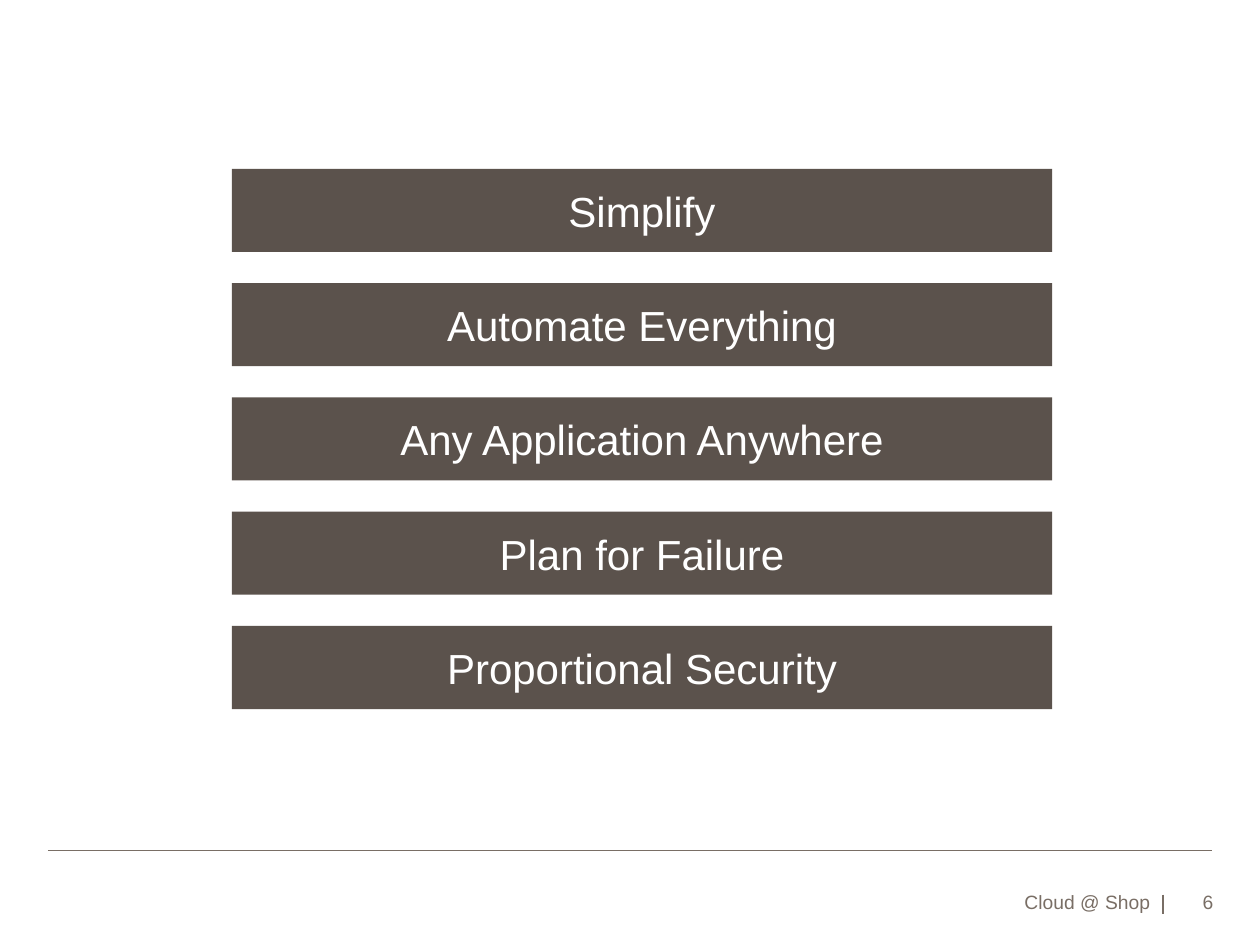
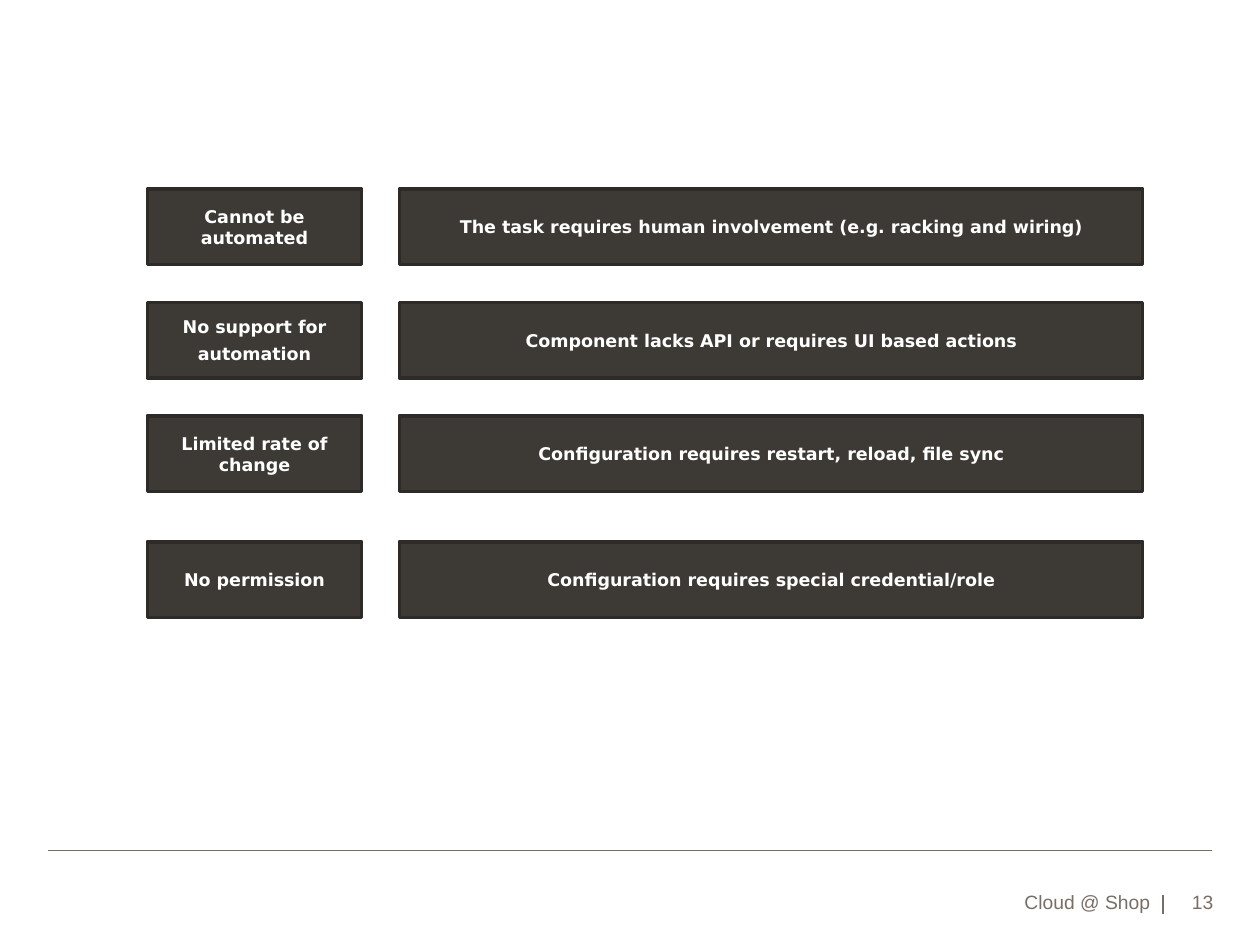
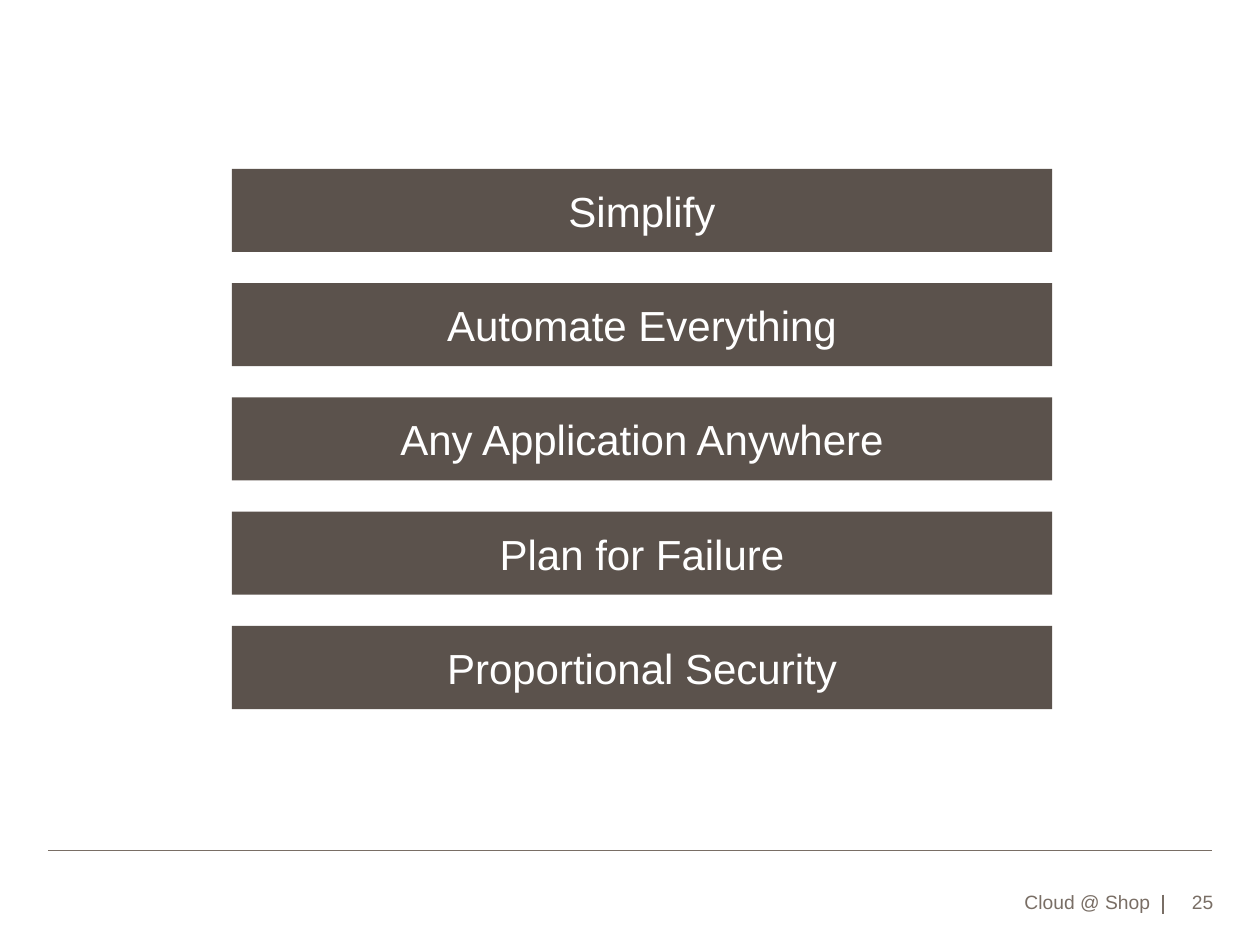
from pptx import Presentation
from pptx.dml.color import RGBColor
from pptx.enum.shapes import MSO_CONNECTOR, MSO_SHAPE
from pptx.enum.text import MSO_ANCHOR, PP_ALIGN
from pptx.oxml.ns import qn
from pptx.util import Inches, Pt

RECT, STRAIGHT = MSO_SHAPE.RECTANGLE, MSO_CONNECTOR.STRAIGHT
MIDDLE, BOTTOM = MSO_ANCHOR.MIDDLE, MSO_ANCHOR.BOTTOM
CENTER, RIGHT = PP_ALIGN.CENTER, PP_ALIGN.RIGHT

# Shared colours and text formats
GREY, BROWN, DARK, EDGE, WHITE = "796E65", "5B524C", "3D3935", "2D2A27", "FFFFFF"
FOOTER_FONT = {"name": "Arial", "size": Pt(11)}
BAR_FONT = {"name": "Arial", "size": Pt(24)}
CELL_FONT = {"name": "DejaVu Sans", "size": Pt(10), "bold": True}


def rgb(hex_color):
    return RGBColor.from_string(hex_color)


def write(sp, text, font, color, align, anchor, before=0):
    """Fill a shape with text, one paragraph per line."""
    tf = sp.text_frame
    tf.word_wrap = True
    tf.vertical_anchor = anchor
    tf.text = text
    for p in tf.paragraphs:
        p.alignment = align
        p.space_before = Pt(before)
        for r in p.runs:
            r.font.color.rgb = rgb(color)
            for name, value in font.items():
                setattr(r.font, name, value)


prs = Presentation()
prs.slide_width, prs.slide_height = Inches(10), Inches(7.5)
blank = prs.slide_layouts[6]

# Slides with the footer they share
MARGIN, RULE_Y, DIVIDER_X = 0.38, 6.75, 9.23
FOOTER_LINES = [(MARGIN, RULE_Y, 10 - MARGIN, RULE_Y), (DIVIDER_X, 7.1, DIVIDER_X, 7.25)]
slides = []
for number in ("6", "13", "25"):
    s = prs.slides.add_slide(blank)
    slides.append(s)
    for ends in FOOTER_LINES:
        line = s.shapes.add_connector(STRAIGHT, *map(Inches, ends))
        line.line.color.rgb = rgb(GREY)
        line.line.width = Pt(1)
        line._element.spPr.add_effectLst() if hasattr(line._element.spPr, "add_effectLst") else \
            line._element.spPr.append(line._element.makeelement(qn("a:effectLst"), {}))
    for text, left, width in (("Cloud @ Shop", 5.47, 3.66), (number, DIVIDER_X, 0.4)):
        sp = s.shapes.add_textbox(Inches(left), Inches(6.97), Inches(width), Inches(0.28))
        for side in ("left", "right", "bottom"):
            setattr(sp.text_frame, f"margin_{side}", 0)
        write(sp, text, FOOTER_FONT, GREY, RIGHT, BOTTOM)

# Principles, listed on the first and last slides
principles = ["Simplify", "Automate Everything", "Any Application Anywhere",
              "Plan for Failure", "Proportional Security"]
BAR_TOP, BAR_STEP = 1.34, 0.907
for s in (slides[0], slides[2]):
    for row, text in enumerate(principles):
        sp = s.shapes.add_shape(RECT, Inches(1.84), Inches(BAR_TOP + row * BAR_STEP),
                                Inches(6.51), Inches(0.66))
        sp.shadow.inherit = False
        sp.fill.solid()
        sp.fill.fore_color.rgb = rgb(BROWN)
        sp.line.fill.background()
        write(sp, text, BAR_FONT, WHITE, CENTER, MIDDLE)

# Obstacles to automation: top of the row, name and explanation
obstacles = [
    (1.5, "Cannot be automated", "The task requires human involvement (e.g. racking and wiring)"),
    (2.4, "No support for\nautomation", "Component lacks API or requires UI based actions"),
    (3.3, "Limited rate of\vchange", "Configuration requires restart, reload, file sync"),
    (4.3, "No permission", "Configuration requires special credential/role"),
]
COLUMNS = [(1.17, 1.7), (3.17, 5.9)]
for top, *texts in obstacles:
    for (left, width), text in zip(COLUMNS, texts):
        sp = slides[1].shapes.add_shape(RECT, Inches(left), Inches(top),
                                        Inches(width), Inches(0.6))
        sp.shadow.inherit = False
        sp.fill.solid()
        sp.fill.fore_color.rgb = rgb(DARK)
        sp.line.color.rgb = rgb(EDGE)
        sp.line.width = Pt(2)
        write(sp, text, CELL_FONT, WHITE, CENTER, MIDDLE, before=3)

prs.save("out.pptx")
